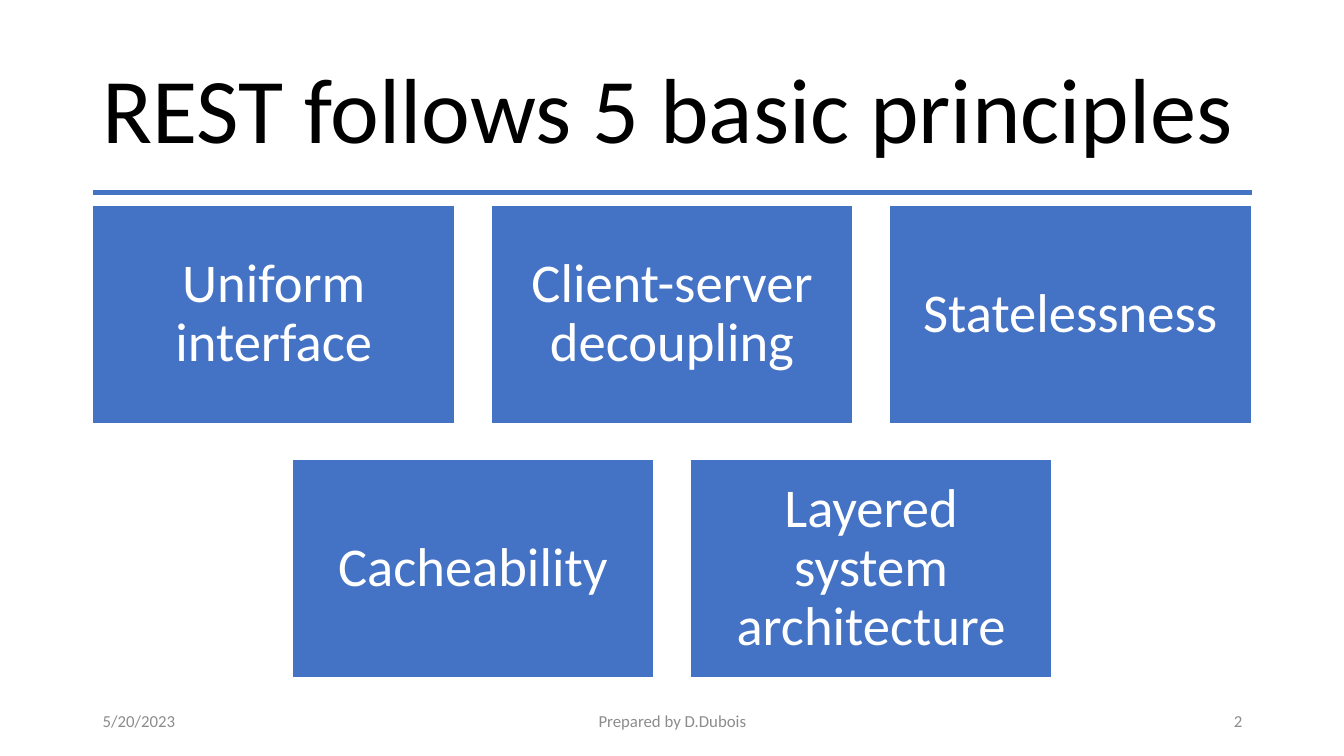
from lxml.etree import SubElement
from pptx import Presentation
from pptx.dml.color import RGBColor
from pptx.enum.shapes import MSO_CONNECTOR, MSO_SHAPE
from pptx.enum.text import MSO_ANCHOR, PP_ALIGN
from pptx.oxml.ns import qn
from pptx.util import Inches, Pt

COLORS = {"accent": "4472C4", "white": "FFFFFF", "title": "000000", "footer": "8C8C8C"}
PRINCIPLE_ROWS = [
    ["Uniform interface", "Client-server decoupling", "Statelessness"],
    ["Cacheability", "Layered system architecture"],
]


class PrinciplesSlide:
    """Draws titles, rules, cards and footers in one style on one slide."""

    font_name = "Calibri"
    left, width = 0.92, 11.5
    card_width, card_height = 3.59, 2.16
    cards_top, card_gap = 2.04, 0.36
    columns = 3

    def __init__(self, slide):
        self.slide = slide

    def color(self, name):
        return RGBColor.from_string(COLORS[name])

    def set_text(self, shape, text, size, color, align, spacing=1.0):
        text_frame = shape.text_frame
        text_frame.text = text
        text_frame.word_wrap = True
        text_frame.vertical_anchor = MSO_ANCHOR.MIDDLE
        paragraph = text_frame.paragraphs[0]
        paragraph.alignment = align
        paragraph.line_spacing = spacing
        font = paragraph.runs[0].font
        font.name = self.font_name
        font.size = Pt(size)
        font.color.rgb = self.color(color)

    def text(self, text, box, size, color, align=PP_ALIGN.LEFT, spacing=1.0):
        shape = self.slide.shapes.add_textbox(*map(Inches, box))
        self.set_text(shape, text, size, color, align, spacing)

    def title(self, text):
        self.text(text, (self.left, 0.4, self.width, 1.45), 66, "title", spacing=0.9)

    def rule(self, top):
        ends = (self.left, top, self.left + self.width, top)
        connector = self.slide.shapes.add_connector(MSO_CONNECTOR.STRAIGHT, *map(Inches, ends))
        connector.line.color.rgb = self.color("accent")
        connector.line.width = Pt(3)
        SubElement(connector._element.spPr, qn("a:effectLst"))

    def card(self, text, column, row):
        box = (
            self.left + column * (self.card_width + self.card_gap),
            self.cards_top + row * (self.card_height + self.card_gap),
            self.card_width,
            self.card_height,
        )
        shape = self.slide.shapes.add_shape(MSO_SHAPE.RECTANGLE, *map(Inches, box))
        shape.shadow.inherit = False
        shape.fill.solid()
        shape.fill.fore_color.rgb = self.color("accent")
        shape.line.color.rgb = self.color("white")
        shape.line.width = Pt(1)
        self.set_text(shape, text, 39, "white", PP_ALIGN.CENTER, 0.9)
        text_frame = shape.text_frame
        text_frame.margin_left = text_frame.margin_right = Inches(0.16)
        text_frame.margin_top = text_frame.margin_bottom = Inches(0.16)

    def cards(self, rows):
        for row, names in enumerate(rows):
            first_column = (self.columns - len(names)) / 2
            for index, name in enumerate(names):
                self.card(name, first_column + index, row)

    def footer(self, date, author, number):
        side, middle = 3, 4.5
        parts = [
            (date, self.left, side, PP_ALIGN.LEFT),
            (author, self.left + (self.width - middle) / 2, middle, PP_ALIGN.CENTER),
            (number, self.left + self.width - side, side, PP_ALIGN.RIGHT),
        ]
        for text, left, width, align in parts:
            self.text(text, (left, 6.95, width, 0.4), 12, "footer", align)


def main():
    presentation = Presentation()
    presentation.slide_width = Inches(13.33)
    presentation.slide_height = Inches(7.5)
    slide = presentation.slides.add_slide(presentation.slide_layouts[6])
    principles = PrinciplesSlide(slide)
    principles.rule(1.91)
    principles.title("REST follows 5 basic principles")
    principles.cards(PRINCIPLE_ROWS)
    principles.footer("5/20/2023", "Prepared by D.Dubois", "2")
    presentation.save("out.pptx")


if __name__ == "__main__":
    main()
